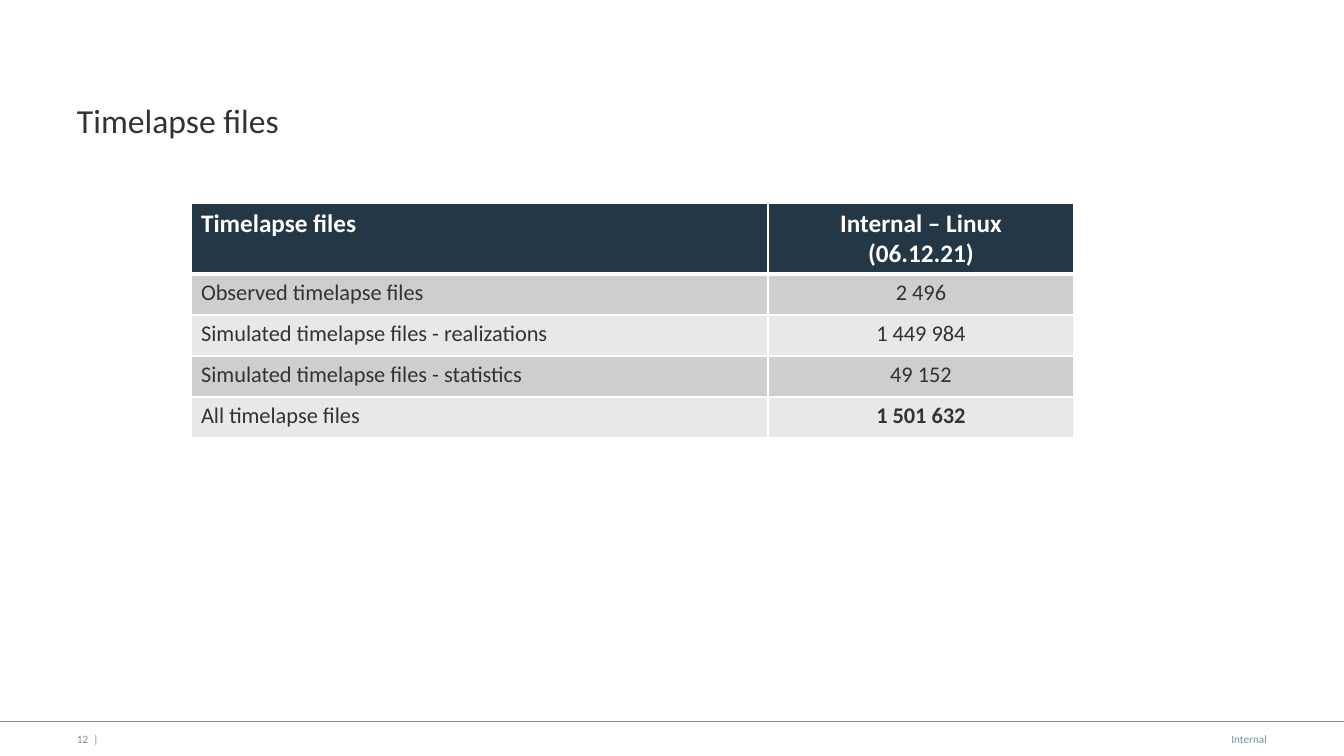
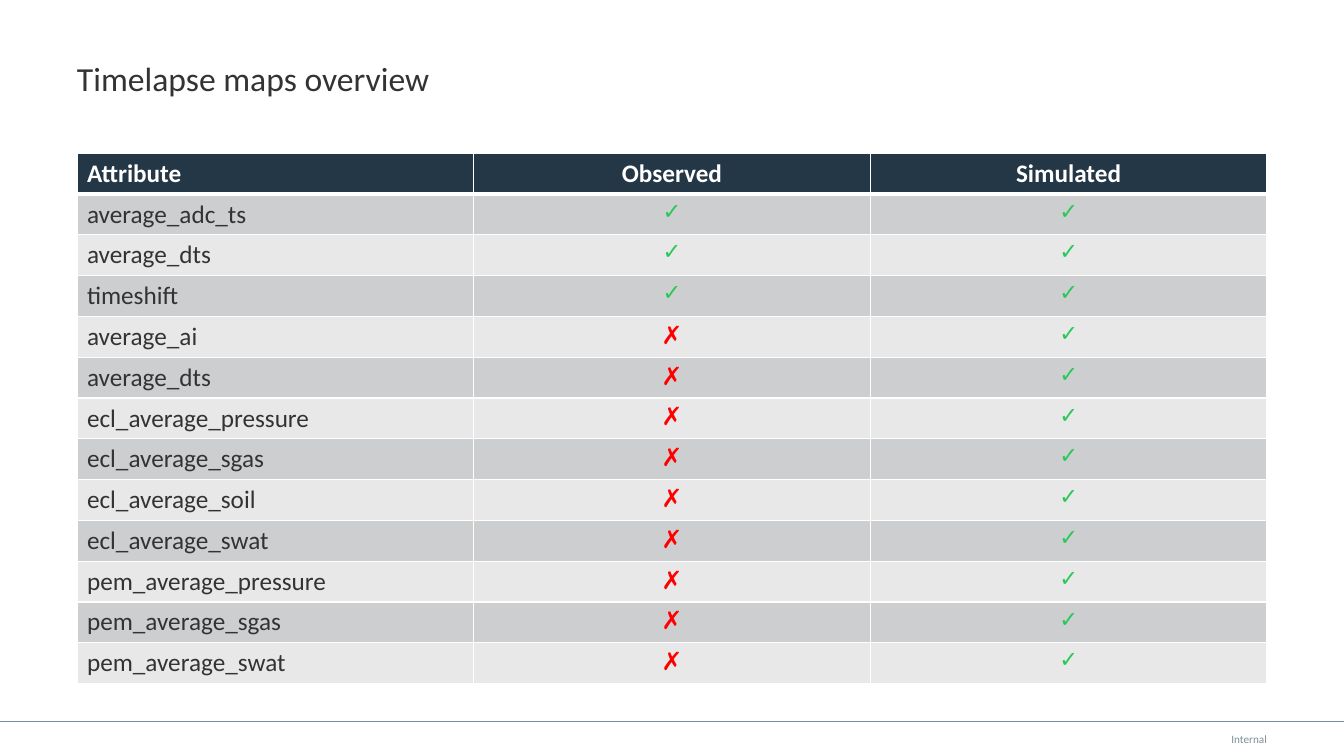
from lxml import etree
from pptx import Presentation
from pptx import util as u
from pptx.dml.color import RGBColor
from pptx.enum import shapes, text
from pptx.oxml.ns import qn

SLIDE_W, SLIDE_H = 1344, 756
EMU_PER_PX = 12192000 / SLIDE_W
MARGIN = 77
CONTENT_W = SLIDE_W - 2 * MARGIN
FOOTER_TOP, FOOTER_H = 727, 24
RULE_Y = 721

COLORS = {
    "text": "333333",
    "muted": "7C8F98",
    "header": "243746",
    "odd": "CDCECF",
    "even": "E8E8E9",
    "white": "FFFFFF",
    "yes": "28C858",
    "no": "FF0000",
}
YES, NO = "✓", "✗"
MARKS = {YES: (16, "yes"), NO: (18, "no")}

SLIDES = [
    {
        "title": "Timelapse files",
        "title_top": 76,
        "page": "12  |",
        "table_at": (191, 203),
        "columns": [577, 306],
        "header_height": 71,
        "table_height": 235,
        "body_size": 16,
        "bold_cells": {(4, 1)},
        "rows": [
            ("Timelapse files", "Internal – Linux\n(06.12.21)"),
            ("Observed timelapse files", "2 496"),
            ("Simulated timelapse files - realizations", "1 449 984"),
            ("Simulated timelapse files - statistics", "49 152"),
            ("All timelapse files", "1 501 632"),
        ],
    },
    {
        "title": "Timelapse maps overview",
        "title_top": 34,
        "page": None,
        "table_at": (MARGIN, 153),
        "columns": [CONTENT_W / 3] * 3,
        "header_height": 41,
        "table_height": 531,
        "body_size": 18,
        "bold_cells": set(),
        "rows": [
            ("Attribute", "Observed", "Simulated"),
            ("average_adc_ts", YES, YES),
            ("average_dts", YES, YES),
            ("timeshift", YES, YES),
            ("average_ai", NO, YES),
            ("average_dts", NO, YES),
            ("ecl_average_pressure", NO, YES),
            ("ecl_average_sgas", NO, YES),
            ("ecl_average_soil", NO, YES),
            ("ecl_average_swat", NO, YES),
            ("pem_average_pressure", NO, YES),
            ("pem_average_sgas", NO, YES),
            ("pem_average_swat", NO, YES),
        ],
    },
]


def px(length):
    return u.Emu(round(length * EMU_PER_PX))


def color(name):
    return RGBColor.from_string(COLORS[name])


def style(frame, size, color_name, font="Calibri", bold=False, align=text.PP_ALIGN.LEFT):
    for paragraph in frame.paragraphs:
        paragraph.alignment = align
        paragraph.font.name = font
        paragraph.font.size = u.Pt(size)
        paragraph.font.bold = bold
        paragraph.font.color.rgb = color(color_name)


def set_insets(frame, top, bottom):
    frame.margin_left = frame.margin_right = 0
    frame.margin_top, frame.margin_bottom = px(top), px(bottom)


def add_title(slide, wording, top):
    title = slide.shapes.title
    title.left, title.top = px(MARGIN), px(top)
    title.width, title.height = px(CONTENT_W), px(127)
    frame = title.text_frame
    frame.text = wording
    frame.auto_size = text.MSO_AUTO_SIZE.NONE
    frame.vertical_anchor = text.MSO_ANCHOR.TOP
    set_insets(frame, 24, 8)
    style(frame, 24, "text")


def add_footer_text(slide, wording, left, width, align):
    label = slide.shapes.add_textbox(px(left), px(FOOTER_TOP), px(width), px(FOOTER_H))
    frame = label.text_frame
    frame.text = wording
    frame.word_wrap = True
    frame.vertical_anchor = text.MSO_ANCHOR.MIDDLE
    set_insets(frame, 5, 5)
    style(frame, 8, "muted", align=align)


def add_footer(slide, page):
    rule = slide.shapes.add_connector(
        shapes.MSO_CONNECTOR.STRAIGHT, 0, px(RULE_Y), px(SLIDE_W), px(RULE_Y))
    rule.line.color.rgb = color("muted")
    rule.line.width = u.Pt(0.25)
    etree.SubElement(rule._element.spPr, qn("a:effectLst"))
    width = 191
    add_footer_text(slide, "Internal", SLIDE_W - MARGIN - width, width, text.PP_ALIGN.RIGHT)
    if page:
        add_footer_text(slide, page, MARGIN, 40, text.PP_ALIGN.LEFT)


def set_borders(cell, top, bottom):
    properties = cell._tc.get_or_add_tcPr()
    widths = {"a:lnL": 1, "a:lnR": 1, "a:lnT": top, "a:lnB": bottom}
    for position, (tag, points) in enumerate(widths.items()):
        border = etree.Element(qn(tag), w=str(u.Pt(points)))
        fill = etree.SubElement(border, qn("a:solidFill"))
        etree.SubElement(fill, qn("a:srgbClr"), val=COLORS["white"])
        properties.insert(position, border)


def add_grid(slide, content):
    rows, columns = content["rows"], content["columns"]
    left, top = content["table_at"]
    table = slide.shapes.add_table(
        len(rows), len(columns), px(left), px(top),
        px(sum(columns)), px(content["table_height"])).table
    for column, width in zip(table.columns, columns):
        column.width = px(width)
    body_height = (content["table_height"] - content["header_height"]) / (len(rows) - 1)
    for r, row in enumerate(rows):
        table.rows[r].height = px(body_height if r else content["header_height"])
        band = ("odd" if r % 2 else "even") if r else "header"
        for c, wording in enumerate(row):
            cell = table.cell(r, c)
            cell.text = wording
            cell.fill.solid()
            cell.fill.fore_color.rgb = color(band)
            set_borders(cell, 3 if r == 1 else 1, 1 if r else 3)
            align = text.PP_ALIGN.CENTER if c else text.PP_ALIGN.LEFT
            if r == 0:
                style(cell.text_frame, 18, "white", bold=True, align=align)
            elif wording in MARKS:
                style(cell.text_frame, *MARKS[wording], font="Arial", bold=True, align=align)
            else:
                style(cell.text_frame, content["body_size"], "text",
                      bold=(r, c) in content["bold_cells"], align=align)


def main():
    deck = Presentation()
    deck.slide_width, deck.slide_height = px(SLIDE_W), px(SLIDE_H)
    title_only = deck.slide_layouts[5]
    for content in SLIDES:
        slide = deck.slides.add_slide(title_only)
        add_footer(slide, content["page"])
        add_title(slide, content["title"], content["title_top"])
        add_grid(slide, content)
    deck.save("out.pptx")


if __name__ == "__main__":
    main()
